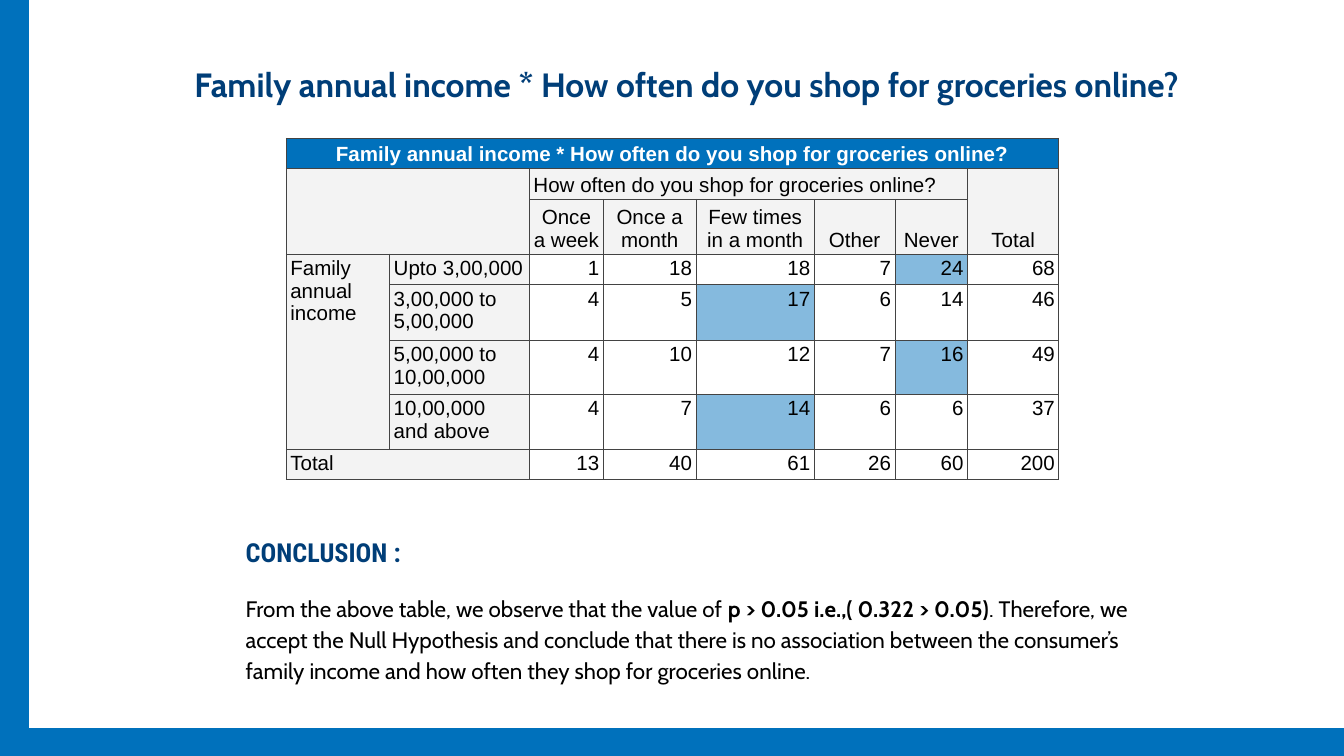
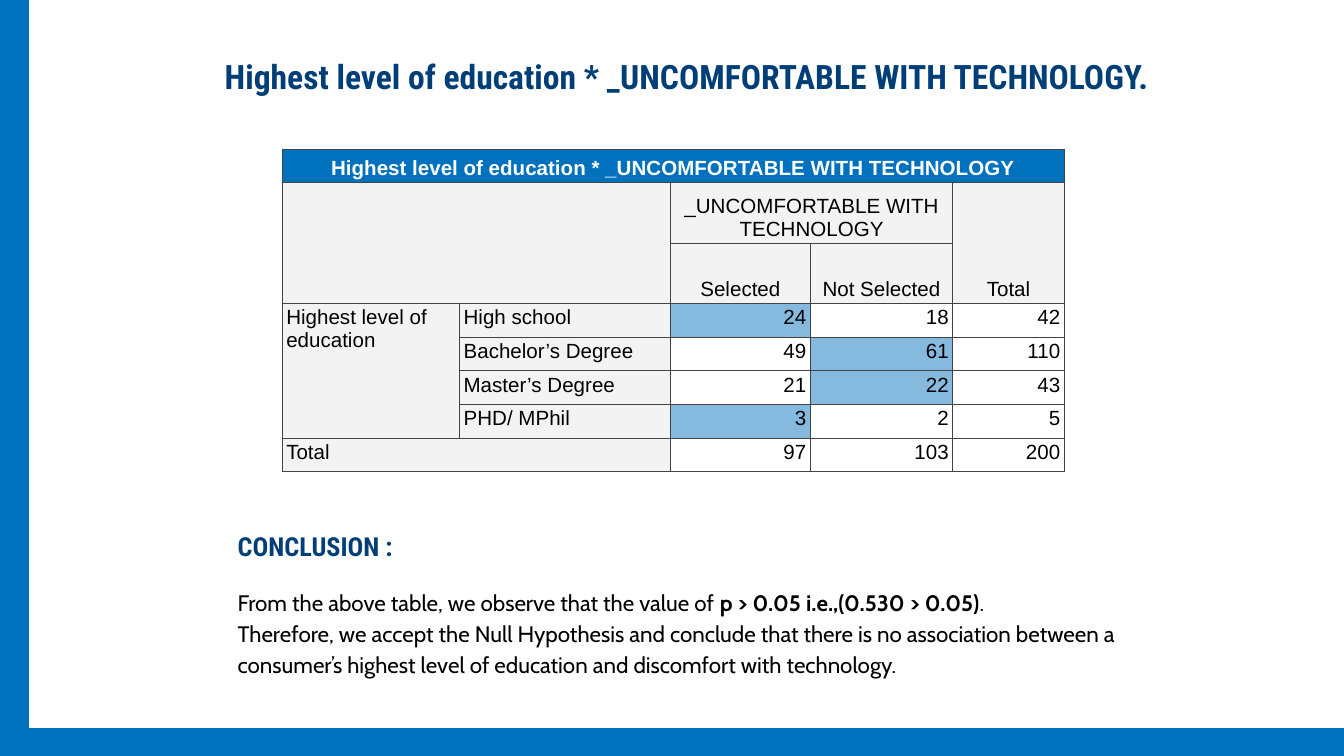
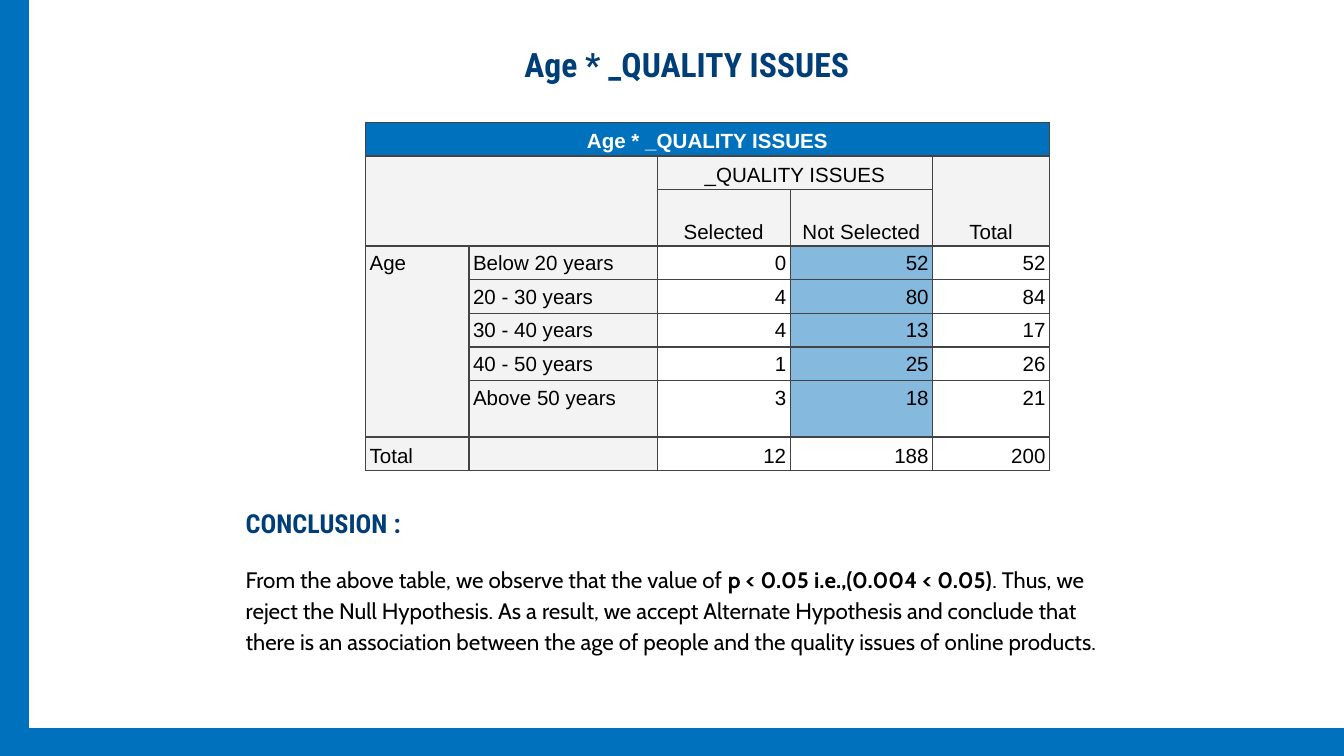
"""Build three cross-tabulation slides, each with a table and its conclusion."""
from lxml import etree
from pptx import Presentation
from pptx import util as u
from pptx.dml.color import RGBColor
from pptx.enum import shapes, text
from pptx.oxml import ns

BLUE = RGBColor(0x00, 0x71, 0xBC)
NAVY = RGBColor(0x00, 0x3E, 0x78)
PALE_BLUE = RGBColor(0x85, 0xBA, 0xDE)
GREY = RGBColor(0xF3, 0xF3, 0xF3)
WHITE = RGBColor(0xFF, 0xFF, 0xFF)
BLACK = RGBColor(0x00, 0x00, 0x00)
BORDER = "434343"
HEADING_FONT, BODY_FONT, TABLE_FONT = "Roboto Condensed", "Cabin", "Arial"
LEFT, CENTER, RIGHT = text.PP_ALIGN.LEFT, text.PP_ALIGN.CENTER, text.PP_ALIGN.RIGHT
TOP, BOTTOM = text.MSO_ANCHOR.TOP, text.MSO_ANCHOR.BOTTOM

BANDS = [(0, 0, 0.21, 5.62), (0.21, 5.42, 9.81, 0.21)]
OBSERVED = "From the above table, we observe that the value of "

STUDIES = [
    {
        "title": "Family annual income * How often do you shop for groceries online?",
        "title_font": BODY_FONT,
        "title_top": 0.33,
        "conclusion_box": (1.73, 3.86, 6.77, 1.31),
        "conclusion": [
            (OBSERVED, "p > 0.05 i.e.,( 0.322 > 0.05)",
             ". Therefore, we accept the Null Hypothesis and conclude that there is no "
             "association between the consumer’s family income and how often they shop "
             "for groceries online."),
        ],
        "table_at": (2.13, 1.03),
        "columns": [0.77, 1.04, 0.55, 0.69, 0.88, 0.6, 0.54, 0.68],
        "heights": [0.22, 0.23, 0.4, 0.23, 0.41, 0.4, 0.41, 0.22],
        "table_title": "Family annual income * How often do you shop for groceries online?",
        "question": "How often do you shop for groceries online?",
        "question_align": LEFT,
        "answers": ["Once a week", "Once a month", "Few times in a month", "Other", "Never"],
        "factor": "Family annual income",
        "groups": [
            ["Upto 3,00,000", 1, 18, 18, 7, 24, 68],
            ["3,00,000 to 5,00,000", 4, 5, 17, 6, 14, 46],
            ["5,00,000 to 10,00,000", 4, 10, 12, 7, 16, 49],
            ["10,00,000 and above", 4, 7, 14, 6, 6, 37],
        ],
        "totals": [13, 40, 61, 26, 60, 200],
        "highlights": [(3, 6), (4, 4), (5, 6), (6, 4)],
        "merge_total": True,
        "total_anchor": TOP,
        "line_spacing": 1.0,
        "border_width": 0.5,
    },
    {
        "title": "Highest level of education * _UNCOMFORTABLE WITH TECHNOLOGY.",
        "title_font": HEADING_FONT,
        "title_top": 0.27,
        "conclusion_box": (1.67, 3.81, 6.77, 1.31),
        "conclusion": [
            (OBSERVED, "p > 0.05 i.e.,(0.530 > 0.05)", "."),
            ("Therefore, we accept the Null Hypothesis and conclude that there is no "
             "association between a consumer’s highest level of education and discomfort "
             "with technology.",),
        ],
        "table_at": (2.1, 1.11),
        "columns": [1.32, 1.57, 1.04, 1.06, 0.83],
        "heights": [0.25, 0.45, 0.45] + [0.25] * 5,
        "table_title": "Highest level of education * _UNCOMFORTABLE WITH TECHNOLOGY",
        "question": "_UNCOMFORTABLE WITH TECHNOLOGY",
        "question_align": CENTER,
        "answers": ["Selected", "Not Selected"],
        "factor": "Highest level of education",
        "groups": [
            ["High school", 24, 18, 42],
            ["Bachelor’s Degree", 49, 61, 110],
            ["Master’s Degree", 21, 22, 43],
            ["PHD/ MPhil", 3, 2, 5],
        ],
        "totals": [97, 103, 200],
        "highlights": [(3, 2), (4, 3), (5, 3), (6, 2)],
        "merge_total": True,
        "total_anchor": TOP,
        "line_spacing": 1.0,
        "border_width": 0.5,
    },
    {
        "title": "Age * _QUALITY ISSUES",
        "title_font": HEADING_FONT,
        "title_top": 0.18,
        "conclusion_box": (1.73, 3.64, 6.77, 1.54),
        "conclusion": [
            (OBSERVED, "p < 0.05 i.e.,(0.004 < 0.05)",
             ". Thus, we reject the Null Hypothesis. As a result, we accept Alternate "
             "Hypothesis and conclude that there is an association between the age of "
             "people and the quality issues of online products."),
        ],
        "table_at": (2.72, 0.91),
        "columns": [0.77, 1.4, 0.99, 1.06, 0.87],
        "heights": [0.25, 0.25, 0.42] + [0.25] * 4 + [0.42, 0.25],
        "table_title": "Age * _QUALITY ISSUES",
        "question": "_QUALITY ISSUES",
        "question_align": CENTER,
        "answers": ["Selected", "Not Selected"],
        "factor": "Age",
        "groups": [
            ["Below 20 years", 0, 52, 52],
            ["20 - 30 years", 4, 80, 84],
            ["30 - 40 years", 4, 13, 17],
            ["40 - 50 years", 1, 25, 26],
            ["Above 50 years", 3, 18, 21],
        ],
        "totals": [12, 188, 200],
        "highlights": [(row, 3) for row in range(3, 8)],
        "merge_total": False,
        "total_anchor": BOTTOM,
        "line_spacing": 1.15,
        "border_width": 0.75,
    },
]


def style(paragraph, font_name, size, color, bold=None, align=LEFT, spacing=1.15):
    """Set the alignment, line spacing and font of a paragraph."""
    paragraph.alignment = align
    paragraph.line_spacing = spacing
    font = paragraph.font
    font.name, font.size, font.bold = font_name, u.Pt(size), bold
    font.color.rgb = color


def add_borders(cell, width):
    """Draw a thin line on all four sides of a table cell."""
    properties = cell._tc.get_or_add_tcPr()
    for side in ("a:lnL", "a:lnR", "a:lnT", "a:lnB"):
        line = etree.SubElement(properties, ns.qn(side), w=str(u.Pt(width)))
        fill = etree.SubElement(line, ns.qn("a:solidFill"))
        etree.SubElement(fill, ns.qn("a:srgbClr"), val=BORDER)


prs = Presentation()
prs.slide_width = u.Inches(10)
prs.slide_height = prs.slide_width * 9 // 16

for study in STUDIES:
    slide = prs.slides.add_slide(prs.slide_layouts[5])

    title = slide.shapes.title
    title.left, title.top = u.Inches(0.61), u.Inches(study["title_top"])
    title.width, title.height = u.Inches(9), u.Inches(0.54)
    heading = title.text_frame
    heading.text = study["title"]
    heading.vertical_anchor = TOP
    heading.auto_size = text.MSO_AUTO_SIZE.NONE
    heading.margin_left = heading.margin_right = u.Inches(0.1)
    heading.margin_top = heading.margin_bottom = u.Inches(0.1)
    style(heading.paragraphs[0], study["title_font"], 18, NAVY, True, CENTER)

    conclusion = slide.shapes.add_textbox(*map(u.Inches, study["conclusion_box"])).text_frame
    conclusion.word_wrap = True
    conclusion.margin_left = conclusion.margin_right = u.Inches(0.1)
    conclusion.margin_top = conclusion.margin_bottom = u.Inches(0.1)
    label = conclusion.paragraphs[0]
    label.text = "CONCLUSION :"
    style(label, HEADING_FONT, 14, NAVY, True)
    label.space_after = u.Pt(12.5)
    for parts in study["conclusion"]:
        statement = conclusion.add_paragraph()
        style(statement, BODY_FONT, 12, BLACK)
        for index, part in enumerate(parts):
            run = statement.add_run()
            run.text = part
            run.font.bold = index == 1

    for place in BANDS:
        band = slide.shapes.add_shape(shapes.MSO_SHAPE.RECTANGLE, *map(u.Inches, place))
        band.shadow.inherit = False
        band.fill.solid()
        band.fill.fore_color.rgb = BLUE
        band.line.color.rgb = BLUE
        band.line.width = u.Pt(0.75)

    columns, heights = study["columns"], study["heights"]
    last_row, last_col = len(heights) - 1, len(columns) - 1
    rows = [
        [study["table_title"]] + [""] * last_col,
        ["", "", study["question"]] + [""] * (last_col - 3) + ["Total"],
        ["", ""] + study["answers"] + [""],
        *[[study["factor"] if i == 0 else ""] + group for i, group in enumerate(study["groups"])],
        ["Total", ""] + study["totals"],
    ]
    size = (sum(columns), sum(heights))
    crosstab = slide.shapes.add_table(
        len(heights), len(columns), *map(u.Inches, study["table_at"] + size)).table
    crosstab.first_row = crosstab.horz_banding = False
    for column, width in zip(crosstab.columns, columns):
        column.width = u.Inches(width)
    for row, height in zip(crosstab.rows, heights):
        row.height = u.Inches(height)

    for r, values in enumerate(rows):
        for c, value in enumerate(values):
            cell = crosstab.cell(r, c)
            cell.text = str(value)
            cell.margin_left = cell.margin_right = u.Inches(0.03)
            cell.margin_top = cell.margin_bottom = u.Inches(0.02)
            if r < 3:
                cell.vertical_anchor = BOTTOM
                align = study["question_align"] if (r, c) == (1, 2) else CENTER
            else:
                cell.vertical_anchor = study["total_anchor"] if r == last_row else TOP
                align = LEFT if c < 2 else RIGHT
            style(cell.text_frame.paragraphs[0], TABLE_FONT, 11, BLACK if r else WHITE,
                  r == 0, align, study["line_spacing"])
            add_borders(cell, study["border_width"])
            cell.fill.solid()
            if r == 0:
                cell.fill.fore_color.rgb = BLUE
            elif r < 3 or c < 2:
                cell.fill.fore_color.rgb = GREY
            else:
                cell.fill.fore_color.rgb = PALE_BLUE if (r, c) in study["highlights"] else WHITE

    spans = [
        ((0, 0), (0, last_col)),
        ((1, 0), (2, 1)),
        ((1, 2), (1, last_col - 1)),
        ((1, last_col), (2, last_col)),
        ((3, 0), (last_row - 1, 0)),
    ]
    if study["merge_total"]:
        spans.append(((last_row, 0), (last_row, 1)))
    for start, end in spans:
        crosstab.cell(*start).merge(crosstab.cell(*end))

prs.save("out.pptx")
